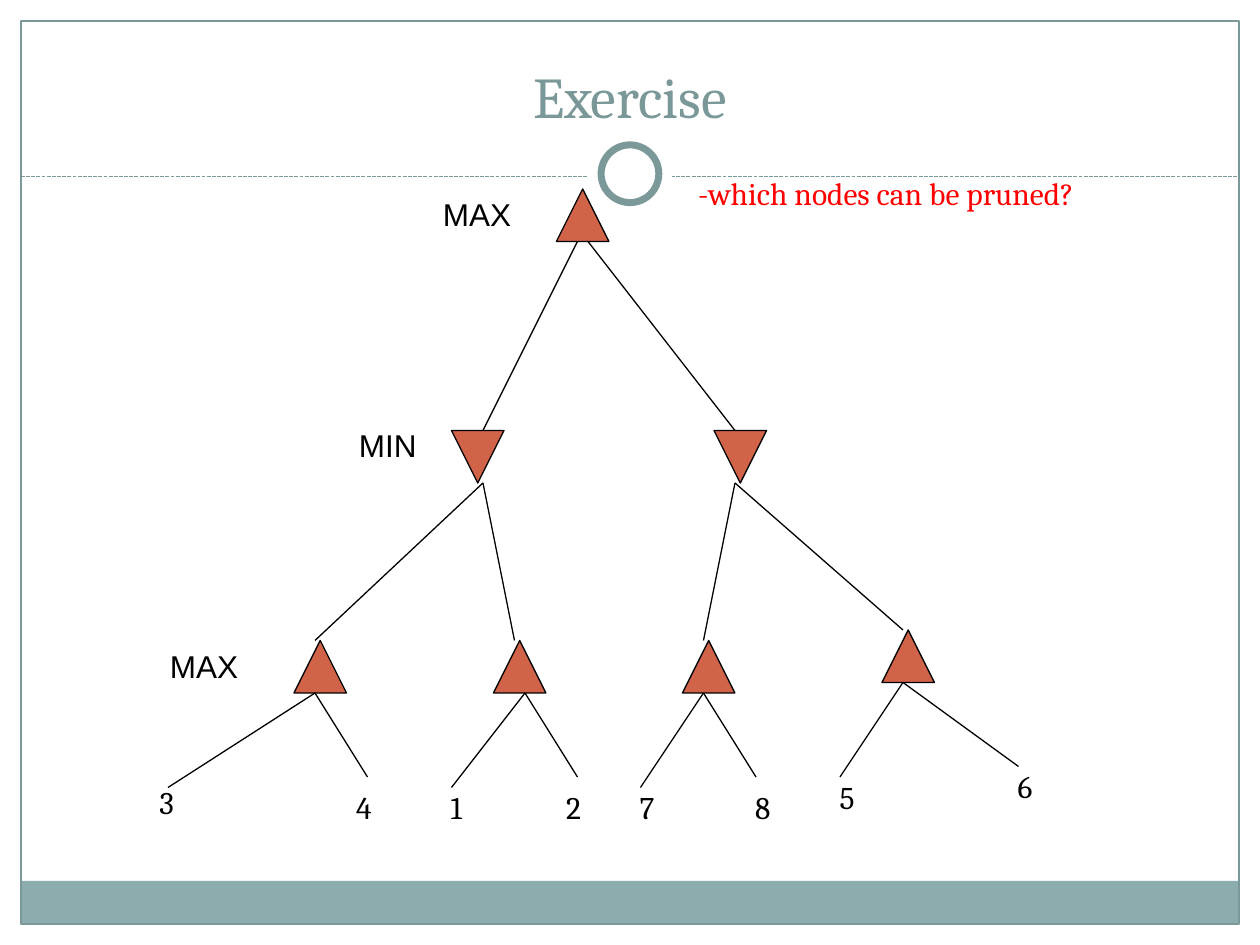
from lxml.etree import SubElement
from pptx import Presentation
from pptx.dml.color import RGBColor
from pptx.enum.dml import MSO_LINE
from pptx.enum.shapes import MSO_CONNECTOR, MSO_SHAPE
from pptx.enum.text import MSO_ANCHOR, PP_ALIGN
from pptx.oxml.ns import qn
from pptx.util import Inches, Pt

BLACK = RGBColor(0x00, 0x00, 0x00)
WHITE = RGBColor(0xFF, 0xFF, 0xFF)
RED = RGBColor(0xFF, 0x00, 0x00)
RUST = RGBColor(0xD1, 0x63, 0x49)
TEAL = RGBColor(0x7C, 0x99, 0x9A)
BAND = RGBColor(0x8C, 0xAD, 0xAE)
TITLE = RGBColor(0x7B, 0x98, 0x99)

COLS, ROWS = 120, 90
UNIT = Inches(10) / COLS
SIDE = 5

NODES = [(28, 61, 0), (47, 61, 0), (65, 61, 0), (84, 60, 0),
         (53, 18, 0), (43, 41, 180), (68, 41, 180)]
EDGES = {(55, 23): [(46, 41)],
         (56, 23): [(70, 41)],
         (46, 46): [(30, 61), (49, 61)],
         (70, 46): [(67, 61), (86, 60)],
         (30, 66): [(16, 75), (35, 74)],
         (50, 66): [(43, 75), (55, 74)],
         (67, 66): [(61, 75), (72, 74)],
         (86, 65): [(80, 74), (97, 73)]}
LEAVES = [("3", 14, 74), ("4", 32.75, 74.5), ("1", 41.75, 74.5), ("2", 52.75, 74.5),
          ("7", 59.75, 74.5), ("8", 70.75, 74.5), ("5", 78.8, 73.5), ("6", 95.75, 72.5)]
LEVELS = [("MAX", 41, 18, 10), ("MIN", 33, 40, 11), ("MAX", 15, 61, 10)]


def grid(*cells):
    """Turn grid counts into slide lengths."""
    return [round(cell * UNIT) for cell in cells]


def style(item, form):
    """Set each attribute named in a dict of format values."""
    for name, value in form.items():
        setattr(item, name, value)


def add_form(slide, kind, box, fill=None, line=None, width=0.75, turn=0):
    """Add a preset shape without a shadow."""
    form = slide.shapes.add_shape(kind, *grid(*box))
    form.shadow.inherit = False
    form.rotation = turn
    for part, color in ((form.fill, fill), (form.line.fill, line)):
        if color is None:
            part.background()
        else:
            part.solid()
            part.fore_color.rgb = color
    if line is not None:
        form.line.width = Pt(width)


def add_edge(slide, start, end, color=BLACK, dash=None):
    """Add a thin straight line between two grid points."""
    edge = slide.shapes.add_connector(MSO_CONNECTOR.STRAIGHT, *grid(*start, *end))
    edge.line.color.rgb = color
    style(edge.line, {"width": Pt(0.75), "dash_style": dash})
    SubElement(edge._element.spPr, qn("a:effectLst"))


def add_text(slide, text, box, face="Cambria", size=18, color=BLACK,
             align=PP_ALIGN.LEFT, anchor=MSO_ANCHOR.TOP):
    """Add one line of text in a box."""
    frame = slide.shapes.add_textbox(*grid(*box)).text_frame
    style(frame, {"word_wrap": True, "vertical_anchor": anchor, "text": text})
    line = frame.paragraphs[0]
    line.alignment = align
    font = line.runs[0].font
    style(font, {"name": face, "size": Pt(size)})
    font.color.rgb = color


def add_frame(slide):
    """Draw the border, the bottom band, the rule and its ring."""
    add_form(slide, MSO_SHAPE.RECTANGLE, (2, 83.9, 116, 4.1), BAND)
    add_form(slide, MSO_SHAPE.RECTANGLE, (2, 2, 116, 86), line=TEAL)
    add_edge(slide, (2, 16.8), (118, 16.8), TEAL, MSO_LINE.SQUARE_DOT)
    add_form(slide, MSO_SHAPE.OVAL, (56, 12.6, 8, 8), WHITE)
    add_form(slide, MSO_SHAPE.OVAL, (57.25, 13.8, 5.5, 5.5), WHITE, TEAL, 4)


def add_tree(slide):
    """Draw the game tree with its leaves and level names."""
    for left, top, turn in NODES:
        add_form(slide, MSO_SHAPE.ISOSCELES_TRIANGLE, (left, top, SIDE, SIDE),
                 RUST, BLACK, turn=turn)
    for start, ends in EDGES.items():
        for end in ends:
            add_edge(slide, start, end)
    for text, left, top in LEAVES:
        add_text(slide, text, (left, top, 4.1, 4.8))
    for text, left, top, width in LEVELS:
        add_text(slide, text, (left, top, width, SIDE), "Arial")


def main():
    """Build the slide and save it."""
    deck = Presentation()
    style(deck, {"slide_width": round(COLS * UNIT), "slide_height": round(ROWS * UNIT)})
    slide = deck.slides.add_slide(deck.slide_layouts[6])
    add_frame(slide)
    add_text(slide, "Exercise", (4, 3, 112, 10), size=33, color=TITLE,
             align=PP_ALIGN.CENTER, anchor=MSO_ANCHOR.BOTTOM)
    add_tree(slide)
    add_text(slide, "-which nodes can be pruned?", (65.3, 16, 41.8, 8.4), color=RED)
    deck.save("out.pptx")


if __name__ == "__main__":
    main()
